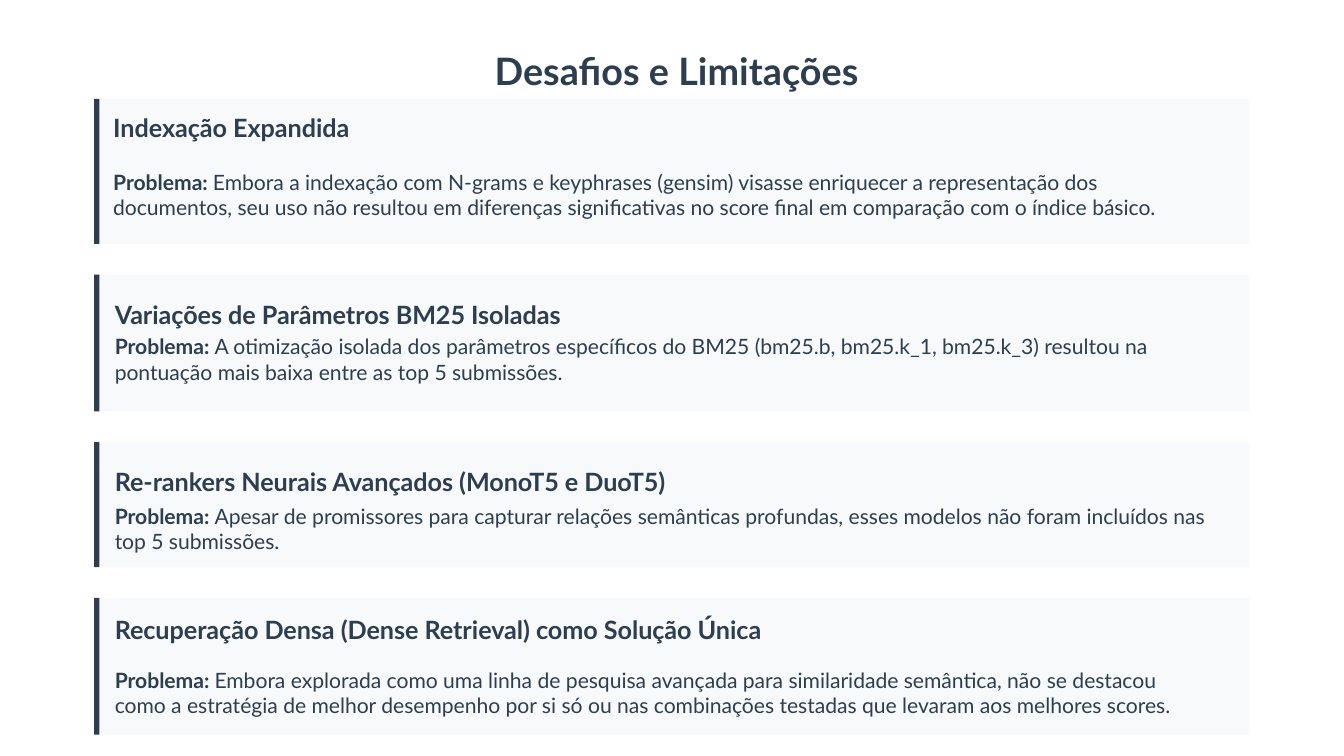
from dataclasses import dataclass

from pptx import Presentation
from pptx.dml.color import RGBColor
from pptx.enum import shapes, text
from pptx.util import Cm, Pt

NAVY = RGBColor(0x2C, 0x3E, 0x50)
PALE_GREY = RGBColor(0xF8, 0xF9, 0xFA)
FONT = "Lato"
TITLE_SIZE, HEADING_SIZE, BODY_SIZE = 20.25, 13.5, 11.25

# Lengths in centimetres
CARD_LEFT, CARD_WIDTH = 1.78, 21.84
FIRST_CARD_TOP, CARD_GAP = 1.87, 0.58
ACCENT_WIDTH = 0.1
HEADING_WIDTH, HEADING_HEIGHT = 19.25, 0.71
BODY_WIDTH = 20.66


@dataclass(frozen=True)
class Challenge:
    """Lengths are in centimetres, offsets from the card top."""
    heading: str
    problem: str
    height: float
    heading_offset: float
    body_offset: float
    body_height: float
    text_left: float = 2.17


CHALLENGES = [
    Challenge(
        "Indexação Expandida",
        "Embora a indexação com N-grams e keyphrases (gensim) visasse enriquecer a "
        "representação dos documentos, seu uso não resultou em diferenças "
        "significativas no score final em comparação com o índice básico.",
        2.74, 0.18, 1.19, 1.24, text_left=2.14),
    Challenge(
        "Variações de Parâmetros BM25 Isoladas",
        "A otimização isolada dos parâmetros específicos do BM25 (bm25.b, bm25.k_1, "
        "bm25.k_3) resultou na pontuação mais baixa entre as top 5 submissões.",
        2.59, 0.4, 1.1, 1.0),
    Challenge(
        "Re-rankers Neurais Avançados (MonoT5 e DuoT5)",
        "Apesar de promissores para capturar relações semânticas profundas, esses "
        "modelos não foram incluídos nas top 5 submissões.",
        2.36, 0.38, 1.14, 1.0),
    Challenge(
        "Recuperação Densa (Dense Retrieval) como Solução Única",
        "Embora explorada como uma linha de pesquisa avançada para similaridade "
        "semântica, não se destacou como a estratégia de melhor desempenho por si só "
        "ou nas combinações testadas que levaram aos melhores scores.",
        2.59, 0.25, 0.97, 1.63),
]


def format_frame(frame) -> None:
    frame.word_wrap = True
    frame.auto_size = text.MSO_AUTO_SIZE.NONE
    frame.vertical_anchor = text.MSO_ANCHOR.MIDDLE
    frame.margin_left = frame.margin_right = 0
    frame.margin_top = frame.margin_bottom = 0


def add_run(paragraph, words: str, size: float, bold: bool) -> None:
    run = paragraph.add_run()
    run.text = words
    run.font.name = FONT
    run.font.size = Pt(size)
    run.font.bold = bold
    run.font.color.rgb = NAVY


def add_block(group, top: float, width: float, height: float, color: RGBColor) -> None:
    """Add a borderless rectangle at the left edge of the cards."""
    block = group.shapes.add_shape(
        shapes.MSO_SHAPE.RECTANGLE, Cm(CARD_LEFT), Cm(top), Cm(width), Cm(height))
    block.fill.solid()
    block.fill.fore_color.rgb = color
    block.line.fill.background()
    block.shadow.inherit = False


def add_text_area(group, left: float, top: float, width: float, height: float):
    """Add an empty text box and return its first paragraph."""
    box = group.shapes.add_textbox(Cm(left), Cm(top), Cm(width), Cm(height))
    format_frame(box.text_frame)
    return box.text_frame.paragraphs[0]


def add_card(slide, challenge: Challenge, top: float) -> None:
    group = slide.shapes.add_group_shape()
    add_block(group, top, CARD_WIDTH, challenge.height, PALE_GREY)
    add_block(group, top, ACCENT_WIDTH, challenge.height, NAVY)

    heading = add_text_area(group, challenge.text_left, top + challenge.heading_offset,
                            HEADING_WIDTH, HEADING_HEIGHT)
    add_run(heading, challenge.heading, HEADING_SIZE, True)

    body = add_text_area(group, challenge.text_left, top + challenge.body_offset,
                         BODY_WIDTH, challenge.body_height)
    add_run(body, "Problema: ", BODY_SIZE, True)
    add_run(body, challenge.problem, BODY_SIZE, False)


def add_title(slide, words: str) -> None:
    title = slide.shapes.title
    title.left, title.top = Cm(2.2), Cm(0.8)
    title.width, title.height = Cm(21.18), Cm(1.07)
    format_frame(title.text_frame)
    paragraph = title.text_frame.paragraphs[0]
    paragraph.alignment = text.PP_ALIGN.CENTER
    add_run(paragraph, words, TITLE_SIZE, True)


def main() -> None:
    deck = Presentation()
    deck.slide_width, deck.slide_height = Cm(25.4), Cm(14.29)
    slide = deck.slides.add_slide(deck.slide_layouts.get_by_name("Title Only"))

    add_title(slide, "Desafios e Limitações")
    top = FIRST_CARD_TOP
    for challenge in CHALLENGES:
        add_card(slide, challenge, top)
        top += challenge.height + CARD_GAP

    deck.save("out.pptx")


if __name__ == "__main__":
    main()
